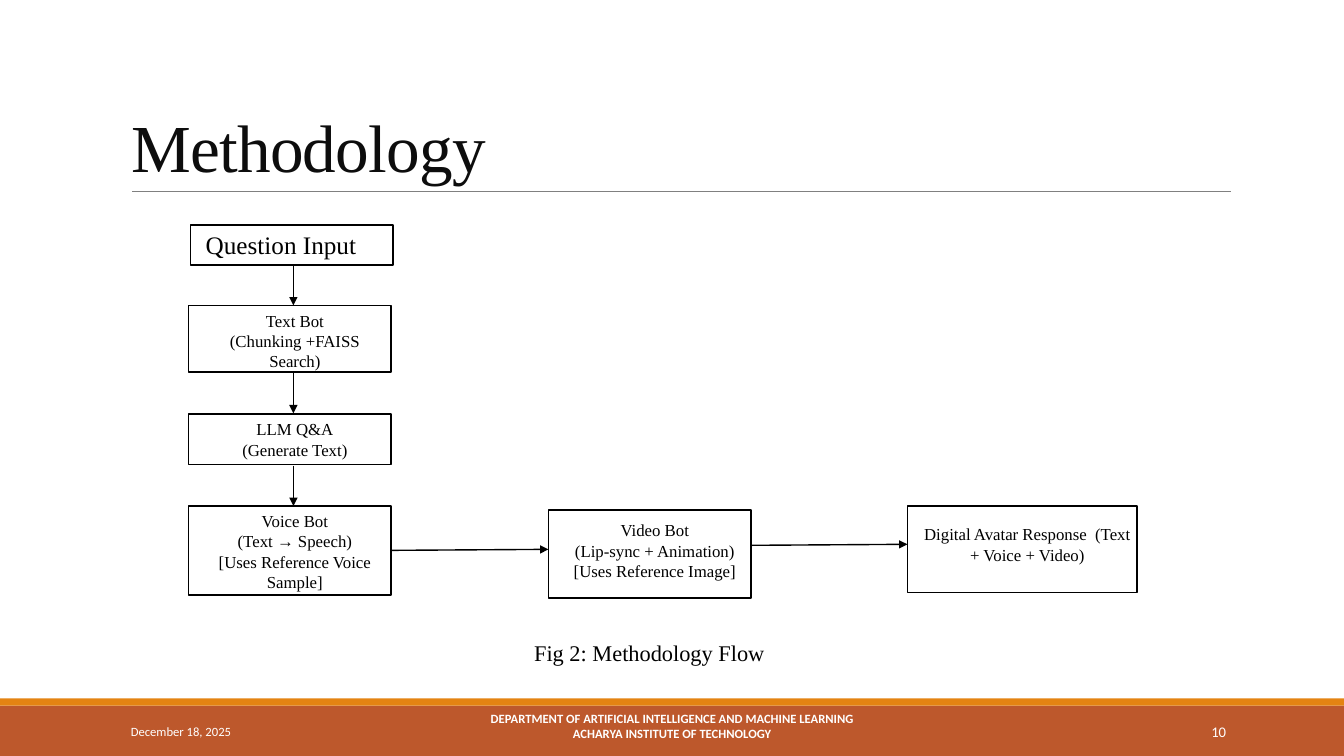
"""Build the Methodology slide with its question-to-avatar flow chart."""
from pptx import Presentation
from pptx.dml.color import RGBColor
from pptx.enum.shapes import MSO_CONNECTOR as CONN, MSO_SHAPE as SHAPE
from pptx.enum.text import MSO_ANCHOR as ANCHOR, MSO_AUTO_SIZE as FIT, PP_ALIGN as ALIGN
from pptx.oxml.ns import qn
from pptx.util import Inches, Pt
from lxml.etree import SubElement

BLACK = RGBColor(0x00, 0x00, 0x00)
WHITE = RGBColor(0xFF, 0xFF, 0xFF)
INK = RGBColor(0x0D, 0x0D, 0x0D)
GREY = RGBColor(0x80, 0x80, 0x80)
RUST = RGBColor(0xBD, 0x58, 0x2C)
ORANGE = RGBColor(0xE4, 0x83, 0x12)
SERIF, SANS = "Times New Roman", "Calibri"
W, H = 13.33, 7.5


def write(tf, text, size, font, color, align, anchor, bold=False):
    tf.word_wrap = True
    tf.auto_size = FIT.NONE
    tf.vertical_anchor = anchor
    tf.text = text
    for p in tf.paragraphs:
        p.alignment = align
        for r in p.runs:
            r.font.size, r.font.name, r.font.bold = Pt(size), font, bold
            r.font.color.rgb = color


def add_line(s, x1, y1, x2, y2, color, width, arrow=False):
    line = s.shapes.add_connector(CONN.STRAIGHT, *map(Inches, (x1, y1, x2, y2)))
    line.line.color.rgb = color
    line.line.width = Pt(width)
    if arrow:
        SubElement(line.line._get_or_add_ln(), qn("a:tailEnd"), type="triangle")
    SubElement(line._element.spPr, qn("a:effectLst"))


prs = Presentation()
prs.slide_width, prs.slide_height = Inches(W), Inches(H)
s = prs.slides.add_slide(prs.slide_layouts[5])

for top, height, color in ((7, 0.5, RUST), (6.93, 0.07, ORANGE)):
    band = s.shapes.add_shape(SHAPE.RECTANGLE, 0, Inches(top), prs.slide_width, Inches(height))
    band.shadow.inherit = False
    band.fill.solid()
    band.fill.fore_color.rgb = color
    band.line.fill.background()
add_line(s, 1.31, 1.9, 12.21, 1.9, GREY, 0.5)

title = s.shapes.title
title.left, title.top, title.width, title.height = map(Inches, (1.2, 0.31, 11, 1.59))
write(title.text_frame, "Methodology", 48, SERIF, INK, ALIGN.LEFT, ANCHOR.BOTTOM)
p = title.text_frame.paragraphs[0]
p.line_spacing = 0.85
p.runs[0].font._element.set("spc", "-50")

department = "DEPARTMENT OF ARTIFICIAL INTELLIGENCE AND MACHINE LEARNING\nACHARYA INSTITUTE OF TECHNOLOGY"
footers = (
    (1.2, 2.7, "December 18, 2025", 9, ALIGN.LEFT, False, 0.05),
    (4.03, 5.27, department, 9, ALIGN.CENTER, True, 0.12),
    (10.83, 1.43, "10", 10.5, ALIGN.RIGHT, False, 0.05),
)
for left, width, text, size, align, bold, bottom in footers:
    tf = s.shapes.add_textbox(Inches(left), Inches(7.06), Inches(width), Inches(0.4)).text_frame
    write(tf, text, size, SANS, WHITE, align, ANCHOR.MIDDLE, bold)
    tf.margin_top, tf.margin_bottom = Inches(0.17 - bottom if bold else 0.05), Inches(bottom)
    if bold:
        tf.margin_top = 0

BOX_W = 2.01
steps = (
    (1.89, 2.23, BOX_W, 0.4, 0.05, "Question Input", 18, ALIGN.LEFT),
    (1.87, 3.03, BOX_W, 0.66, 0.05, "Text Bot\n(Chunking +FAISS Search)", 12, ALIGN.CENTER),
    (1.87, 4.11, BOX_W, 0.5, 0.05, "LLM Q&A\n(Generate Text)", 12, ALIGN.CENTER),
    (1.87, 5.02, BOX_W, 0.88, 0.05,
     "Voice Bot\n(Text → Speech)\n[Uses Reference Voice Sample]", 12, ALIGN.CENTER),
    (5.44, 5.06, BOX_W, 0.87, 0.1,
     "Video Bot\n(Lip-sync + Animation)\n[Uses Reference Image]", 12, ALIGN.CENTER),
    (9, 5.02, 2.28, 0.86, 0.18, "Digital Avatar Response  (Text + Voice + Video)", 12, ALIGN.CENTER),
)
for left, top, width, height, inset, text, size, align in steps:
    box = s.shapes.add_shape(SHAPE.RECTANGLE, *map(Inches, (left, top, width, height)))
    box.shadow.inherit = False
    box.fill.solid()
    box.fill.fore_color.rgb = WHITE
    box.line.color.rgb = BLACK
    box.line.width = Pt(1.25)
    tf = box.text_frame
    write(tf, text, size, SERIF, BLACK, align, ANCHOR.TOP)
    tf.margin_left, tf.margin_right = Inches(0.15), Inches(0.05)
    tf.margin_top, tf.margin_bottom = Inches(inset), 0

for top in (2.63, 3.7, 4.62):
    add_line(s, 2.91, top, 2.91, top + 0.4, BLACK, 1, arrow=True)
for x1, x2, y in ((3.88, 5.44, 5.46), (7.45, 9, 5.41)):
    add_line(s, x1, y, x2, y - 0.01, BLACK, 1, arrow=True)

caption = s.shapes.add_textbox(*map(Inches, (5.18, 6.29, 2.52, 0.37))).text_frame
write(caption, "Fig 2: Methodology Flow", 16, SERIF, BLACK, ALIGN.CENTER, ANCHOR.TOP)
caption.word_wrap = False

prs.save("out.pptx")
